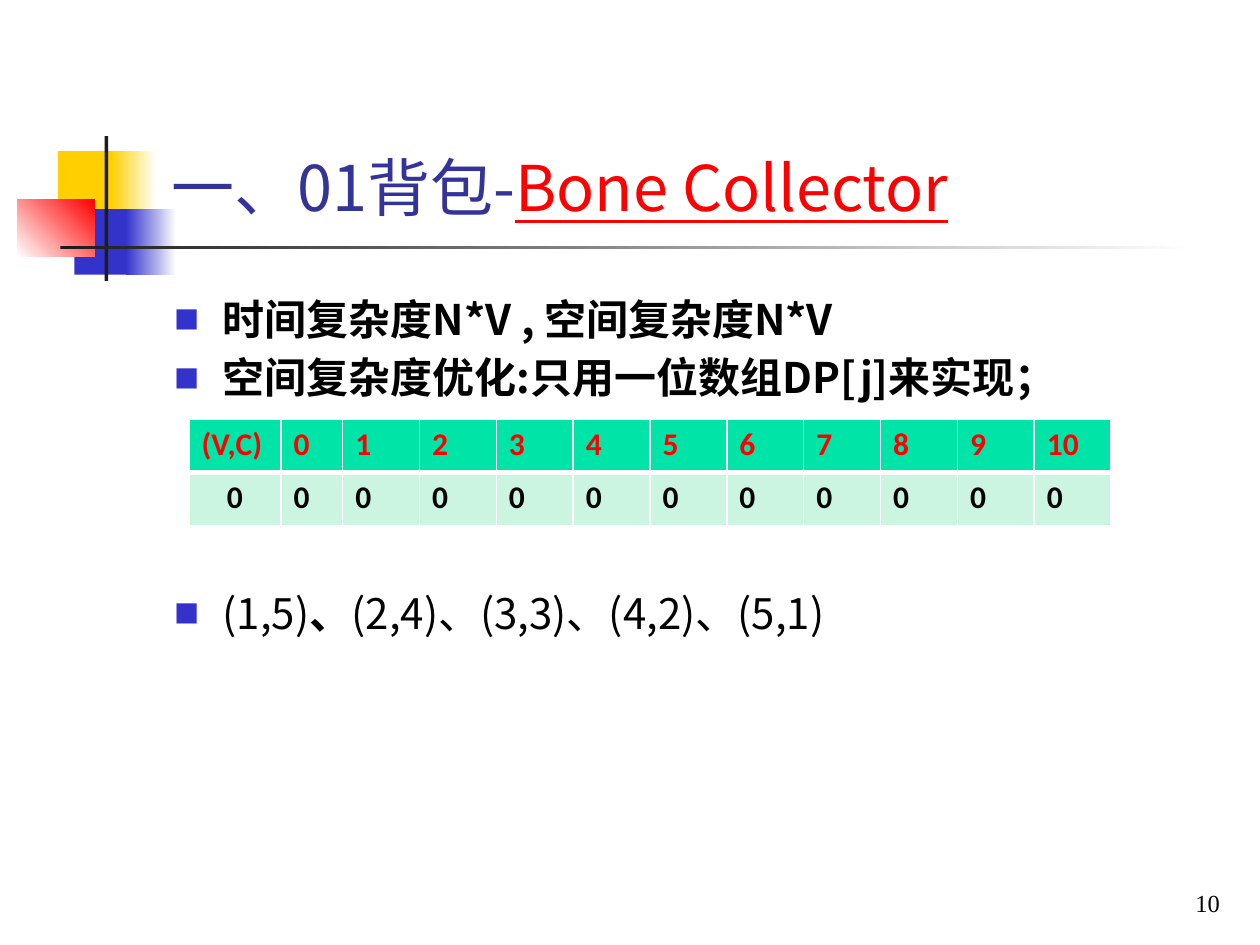
from lxml.etree import SubElement
from pptx import Presentation
from pptx.dml.color import RGBColor
from pptx.enum.shapes import MSO_SHAPE
from pptx.enum.text import MSO_ANCHOR, MSO_AUTO_SIZE, PP_ALIGN
from pptx.oxml.ns import qn
from pptx.util import Inches, Pt

COLORS = {
    "white": "FFFFFF", "black": "000000", "ink": "1C1C1C",
    "yellow": "FFCF01", "blue": "3333CC", "red": "FF0000",
    "title": "333399", "header": "00E4A8", "row": "CCF5E1",
}
SC, KR = "Noto Sans CJK SC", "Noto Sans CJK KR"
LINE_PITCH = 33.6


def color(name):
    return RGBColor.from_string(COLORS[name])


def add_run(paragraph, text, size, font, color_name, bold=False, underline=False):
    run = paragraph.add_run()
    run.text = text
    run.font.size = Pt(size)
    run.font.name = font
    run.font.bold = bold
    run.font.underline = underline
    run.font.color.rgb = color(color_name)
    east_asian = SubElement(run.font._element, qn("a:ea"))
    east_asian.set("typeface", font)


def add_block(slide, left, top, width, height, start, end=None, angle=0):
    """Add a borderless rectangle, solid or fading from start to end."""
    block = slide.shapes.add_shape(
        MSO_SHAPE.RECTANGLE, Inches(left), Inches(top), Inches(width), Inches(height))
    block.shadow.inherit = False
    block.line.fill.background()
    if end is None:
        block.fill.solid()
        block.fill.fore_color.rgb = color(start)
        return
    block.fill.gradient()
    block.fill.gradient_angle = angle
    for stop, name in zip(block.fill.gradient_stops, (start, end)):
        stop.color.rgb = color(name)


def add_ornament(slide, left, top):
    """Add the overlapping squares and the crossing rules."""
    for x, y, width, height, *fill in (
        (0.32, 0.12, 0.48, 0.52, "yellow"),
        (0.74, 0.12, 0.36, 0.52, "yellow", "white"),
        (0.45, 0.58, 0.46, 0.52, "blue"),
        (0.86, 0.58, 0.40, 0.52, "blue", "white"),
        (0, 0.5, 0.61, 0.46, "white", "red", 45),
        (0.69, 0, 0.03, 1.15, "ink"),
        (0.34, 0.87, 9, 0.03, "ink", "white"),
    ):
        add_block(slide, left + x, top + y, width, height, *fill)


def set_title(slide, left, top, width, height):
    title = slide.shapes.title
    title.left, title.top = Inches(left), Inches(top)
    title.width, title.height = Inches(width), Inches(height)
    frame = title.text_frame
    frame.auto_size = MSO_AUTO_SIZE.NONE
    frame.vertical_anchor = MSO_ANCHOR.BOTTOM
    paragraph = frame.paragraphs[0]
    paragraph.alignment = PP_ALIGN.LEFT
    add_run(paragraph, "一、01背包", 36, SC, "title")
    add_run(paragraph, "-", 36, KR, "title")
    add_run(paragraph, "Bone Collector", 36, KR, "red", underline=True)


def set_bullet(paragraph):
    properties = paragraph._p.get_or_add_pPr()
    properties.set("marL", str(Inches(0.38)))
    properties.set("indent", str(-Inches(0.38)))
    bullet_color = SubElement(properties, qn("a:buClr"))
    SubElement(bullet_color, qn("a:srgbClr")).set("val", COLORS["blue"])
    SubElement(properties, qn("a:buSzPct")).set("val", "60000")
    SubElement(properties, qn("a:buFont")).set("typeface", SC)
    SubElement(properties, qn("a:buChar")).set("char", "■")


def add_body(slide, left, top, width, height):
    frame = slide.shapes.add_textbox(
        Inches(left), Inches(top), Inches(width), Inches(height)).text_frame
    frame.word_wrap = True
    # Lines skipped before each bullet (room for the table), then its runs
    bullets = (
        (0, [("时间复杂度N*V , 空间复杂度N*V", SC, True)]),
        (0, [("空间复杂度优化:只用一位数组DP[j]来实现；", SC, True)]),
        (3, [("(1,5)", KR, False), ("、", KR, True),
             ("(2,4)、(3,3)、(4,2)、(5,1)", KR, False)]),
    )
    for index, (skipped_lines, runs) in enumerate(bullets):
        paragraph = frame.add_paragraph() if index else frame.paragraphs[0]
        paragraph.line_spacing = Pt(LINE_PITCH)
        paragraph.space_before = Pt(skipped_lines * LINE_PITCH)
        set_bullet(paragraph)
        for text, font, bold in runs:
            add_run(paragraph, text, 24, font, "black", bold)


def set_borders(cell, bottom_width):
    properties = cell._tc.get_or_add_tcPr()
    widths = {"a:lnL": 1, "a:lnR": 1, "a:lnT": 1, "a:lnB": bottom_width}
    for index, (tag, width) in enumerate(widths.items()):
        line = properties.makeelement(qn(tag), {"w": str(Pt(width))})
        fill = SubElement(line, qn("a:solidFill"))
        SubElement(fill, qn("a:srgbClr")).set("val", COLORS["white"])
        properties.insert(index, line)


def add_state_table(slide, left, top):
    widths = [0.73, 0.49] + [0.61] * 10
    rows = [
        (["(V,C)"] + [str(volume) for volume in range(11)], "header", "red", 3),
        (["0"] * 12, "row", "black", 1),
    ]
    table = slide.shapes.add_table(
        len(rows), len(widths), Inches(left), Inches(top),
        Inches(sum(widths)), Inches(0.42 * len(rows))).table
    for column, width in zip(table.columns, widths):
        column.width = Inches(width)
    for row, (texts, fill, text_color, bottom_width) in enumerate(rows):
        for column, text in enumerate(texts):
            cell = table.cell(row, column)
            cell.fill.solid()
            cell.fill.fore_color.rgb = color(fill)
            set_borders(cell, bottom_width)
            add_run(cell.text_frame.paragraphs[0], text, 18, "Calibri", text_color, True)
    table.cell(1, 0).text_frame.paragraphs[0].alignment = PP_ALIGN.CENTER


def add_page_number(slide, left, top, width, height):
    box = slide.shapes.add_textbox(
        Inches(left), Inches(top), Inches(width), Inches(height))
    box.fill.solid()
    box.fill.fore_color.rgb = color("white")
    frame = box.text_frame
    frame.word_wrap = True
    frame.vertical_anchor = MSO_ANCHOR.BOTTOM
    paragraph = frame.paragraphs[0]
    paragraph.alignment = PP_ALIGN.RIGHT
    add_run(paragraph, "10", 14, "Times New Roman", "black")


def main():
    presentation = Presentation()
    presentation.slide_width, presentation.slide_height = Inches(10), Inches(7.5)
    slide = presentation.slides.add_slide(presentation.slide_layouts[5])
    add_ornament(slide, 0.14, 1.08)
    set_title(slide, 1.26, 0.23, 8.52, 1.6)
    add_body(slide, 1.29, 2.21, 8.5, 4.18)
    add_page_number(slide, 7.7, 6.83, 2.08, 0.5)
    add_state_table(slide, 1.5, 3.33)
    presentation.save("out.pptx")


if __name__ == "__main__":
    main()
